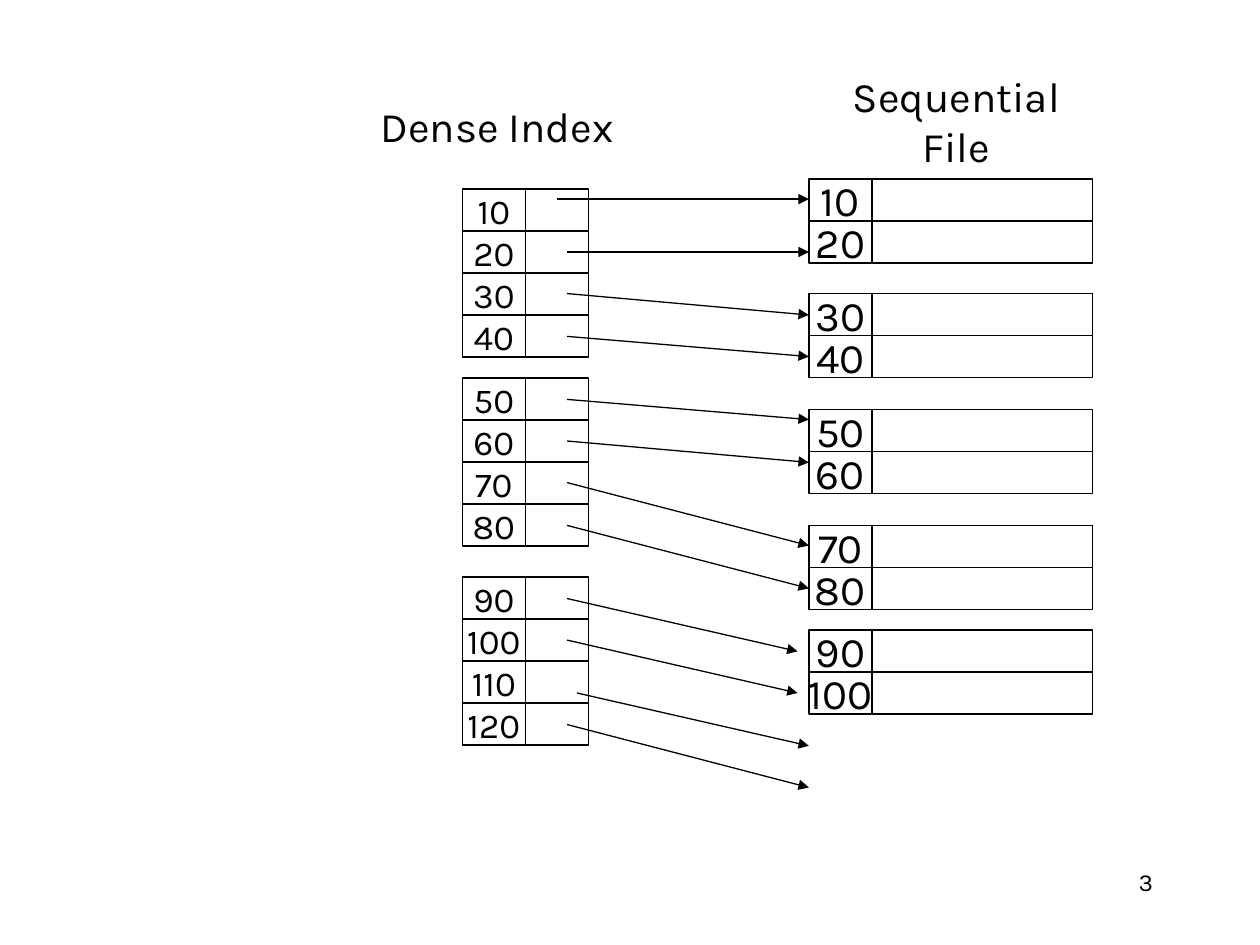
from pptx import Presentation
from pptx.dml.color import RGBColor
from pptx.enum.shapes import MSO_CONNECTOR, MSO_SHAPE
from pptx.enum.text import MSO_ANCHOR, PP_ALIGN
from pptx.oxml.ns import qn
from pptx.util import Inches, Pt
from lxml.etree import SubElement

BLACK = RGBColor(0, 0, 0)
WHITE = RGBColor(255, 255, 255)
FONT = "Karla"
ROW = 1 / 3
KEY = 0.5
INDEX = [(1.5, 10), (3, 50), (4.58, 90)]
FILE = [(1.42, 10), (2.33, 30), (3.25, 50), (4.17, 70), (5, 90)]
ARROWS = [
    (4.42, 1.58, 6.42, 1.58),
    (4.5, 2, 6.42, 2),
    (4.5, 2.33, 6.42, 2.5),
    (4.5, 2.67, 6.42, 2.83),
    (4.5, 3.17, 6.42, 3.33),
    (4.5, 3.5, 6.42, 3.67),
    (4.5, 3.83, 6.42, 4.33),
    (4.5, 4.17, 6.42, 4.67),
    (4.5, 4.75, 6.33, 5.17),
    (4.5, 5.08, 6.33, 5.5),
    (4.58, 5.5, 6.42, 5.92),
    (4.5, 5.75, 6.42, 6.25),
]


def write(shape, text, size, align=PP_ALIGN.CENTER, anchor=MSO_ANCHOR.MIDDLE, wrap=False):
    """Put one styled line of text into a shape."""
    frame = shape.text_frame
    frame.text = text
    frame.word_wrap = wrap
    frame.vertical_anchor = anchor
    line = frame.paragraphs[0]
    line.alignment = align
    font = line.runs[0].font
    font.name, font.size = FONT, Pt(size)
    font.color.rgb = BLACK


def add_label(slide, box, text, size, **style):
    """Add a text box."""
    label = slide.shapes.add_textbox(*map(Inches, box))
    write(label, text, size, **style)


def add_cell(group, left, top, width):
    """Add one white cell with a thin black border."""
    box = map(Inches, (left, top, width, ROW))
    cell = group.shapes.add_shape(MSO_SHAPE.RECTANGLE, *box)
    cell.shadow.inherit = False
    cell.fill.solid()
    cell.fill.fore_color.rgb = WHITE
    cell.line.color.rgb = BLACK
    cell.line.width = Pt(0.75)
    return cell


def add_block(slide, left, top, first, rows, width, size):
    """Add a grouped block of keys, each beside an empty cell."""
    group = slide.shapes.add_group_shape()
    for row in range(rows):
        y = top + row * ROW
        key = add_cell(group, left, y, KEY)
        write(key, str(first + 10 * row), size)
        add_cell(group, left + KEY, y, width)


def add_arrow(slide, ends):
    """Add a thin black arrow."""
    arrow = slide.shapes.add_connector(MSO_CONNECTOR.STRAIGHT, *map(Inches, ends))
    arrow.line.color.rgb = BLACK
    arrow.line.width = Pt(0.75)
    SubElement(arrow.line._get_or_add_ln(), qn("a:tailEnd"), type="triangle")
    SubElement(arrow._element.spPr, qn("a:effectLst"))


def main():
    """Build the dense index slide."""
    deck = Presentation()
    deck.slide_width, deck.slide_height = Inches(10), Inches(7.5)
    slide = deck.slides.add_slide(deck.slide_layouts[6])
    add_label(slide, (7.17, 6.83, 2.08, 0.5), "3", 14,
              align=PP_ALIGN.RIGHT, anchor=MSO_ANCHOR.TOP, wrap=True)
    add_label(slide, (6.42, 0.71, 2.34, 0.5), "Sequential File", 24, wrap=True)
    for top, first in FILE:
        add_block(slide, 6.42, top, first, 2, 1.75, 24)
    add_label(slide, (2.92, 0.75, 2.05, 0.5), "Dense Index", 24)
    for top, first in INDEX:
        add_block(slide, 3.67, top, first, 4, 0.5, 20)
    for ends in ARROWS:
        add_arrow(slide, ends)
    deck.save("out.pptx")


if __name__ == "__main__":
    main()
